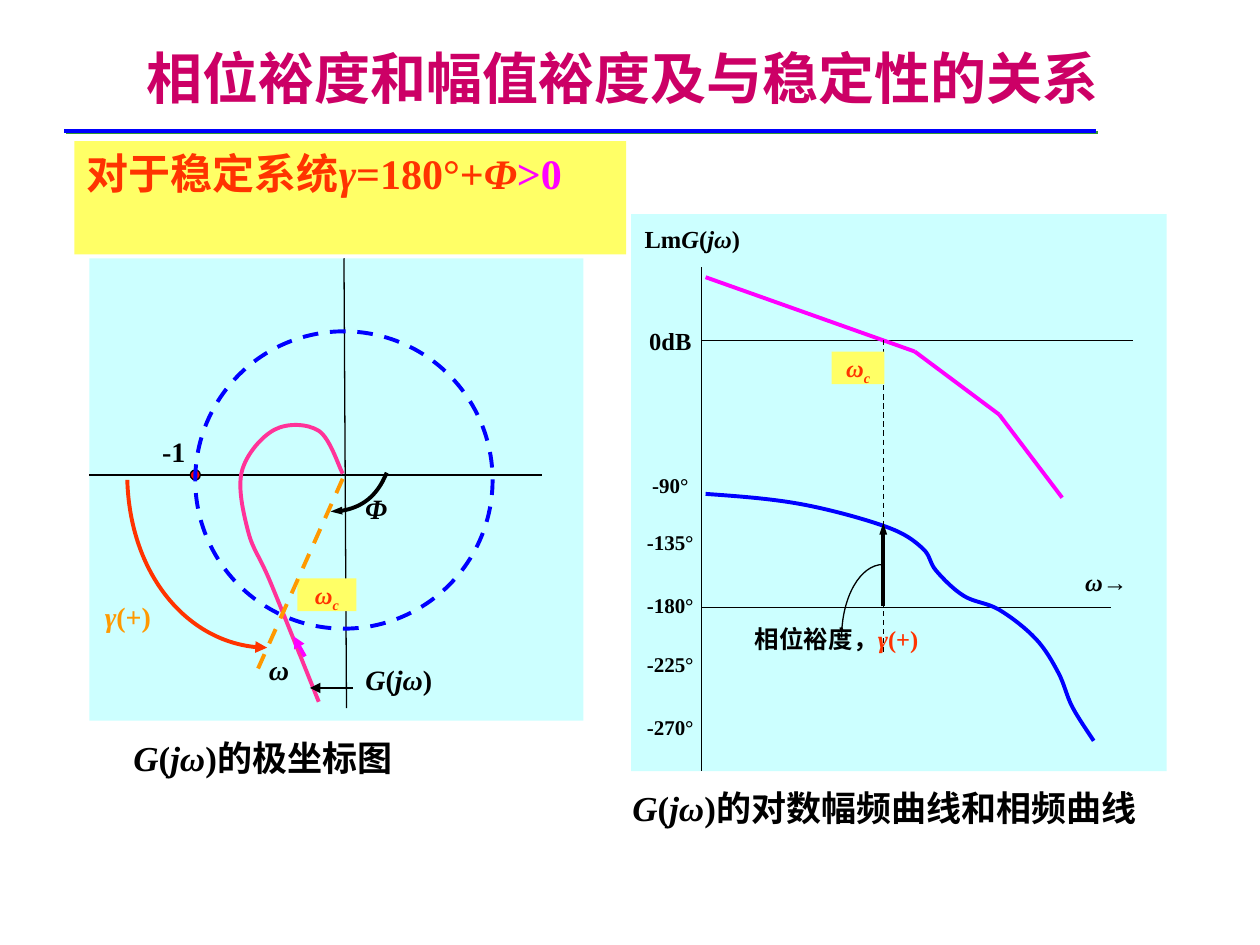
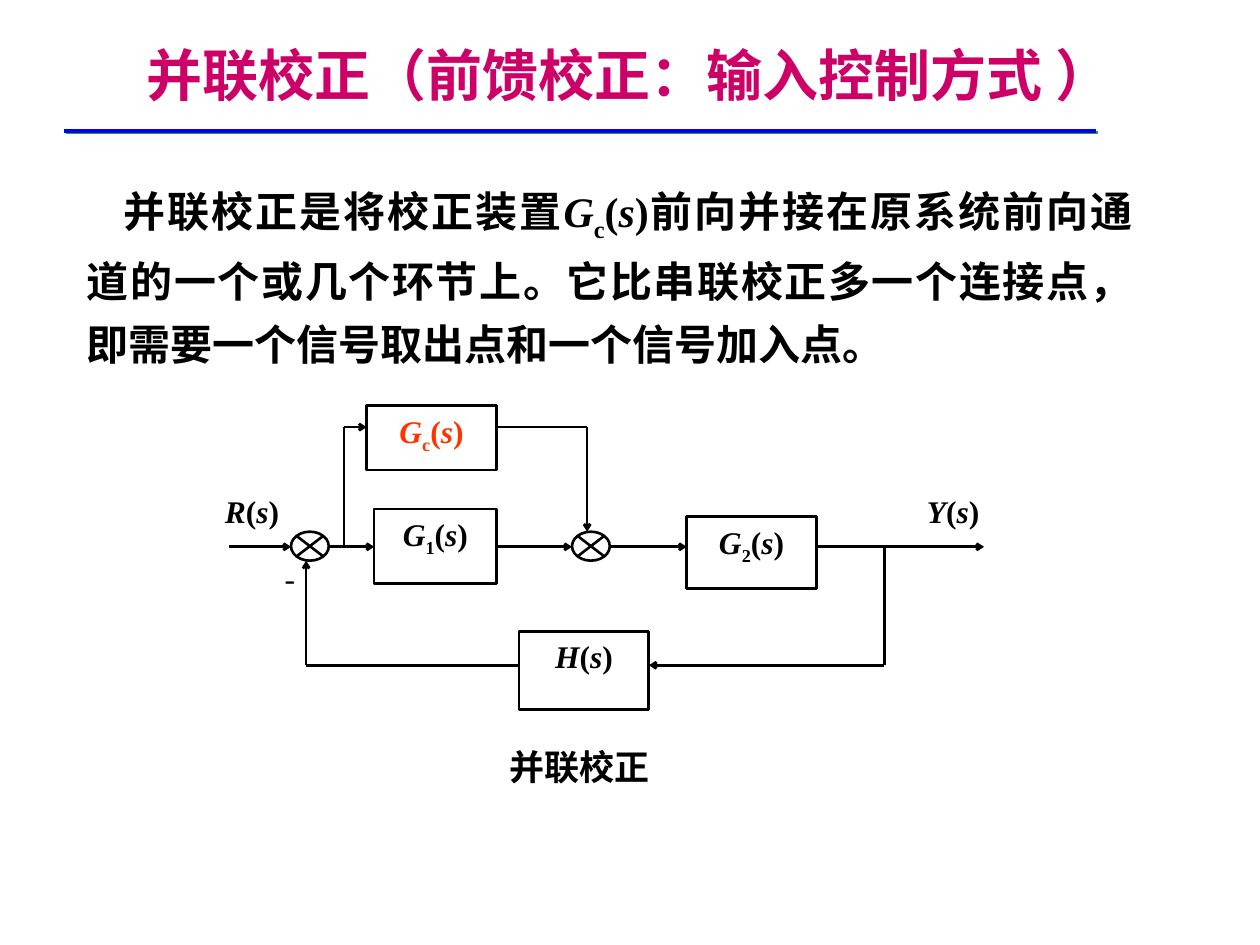
import dataclasses
import itertools
import math
import typing

import lxml.etree
import pptx
import pptx.dml.color
import pptx.enum.dml
import pptx.enum.shapes
import pptx.enum.text
import pptx.oxml.ns
import pptx.util

Inches = pptx.util.Inches
RGBColor = pptx.dml.color.RGBColor
Align = pptx.enum.text.PP_ALIGN
Preset = pptx.enum.shapes.MSO_SHAPE
qn = pptx.oxml.ns.qn
Point = tuple[float, float]
Box = tuple[float, float, float, float]

BLACK = RGBColor(0x00, 0x00, 0x00)
WHITE = RGBColor(0xFF, 0xFF, 0xFF)
BLUE = RGBColor(0x00, 0x00, 0xFF)
RED = RGBColor(0xFF, 0x00, 0x00)
SCARLET = RGBColor(0xFF, 0x33, 0x00)
MAGENTA = RGBColor(0xFF, 0x00, 0xFF)
PINK = RGBColor(0xFF, 0x33, 0x99)
ORANGE = RGBColor(0xFF, 0x99, 0x00)
YELLOW = RGBColor(0xFF, 0xFF, 0x66)
PANEL = RGBColor(0xCC, 0xFF, 0xFF)
TITLE = RGBColor(0xCC, 0x00, 0x66)
RULE_SHADOW = "339933"

LATIN_FONT = "Times New Roman"
CHINESE_FONT = "Noto Sans CJK SC"
THIN, MEDIUM, THICK = 0.75, 1.5, 2.25
WIDE_INSET = (0.1, 0.05)


@dataclasses.dataclass
class Arrowhead:
    kind: str = "triangle"
    width: str = "med"
    length: str = "med"


TRIANGLE = Arrowhead()
NARROW = Arrowhead(width="sm")
SIGNAL = Arrowhead("arrow", "sm", "sm")


@dataclasses.dataclass
class Line:
    start: Point
    end: Point
    colour: RGBColor = BLACK
    width: float = THIN
    dashed: bool = False
    arrow: typing.Optional[Arrowhead] = None


@dataclasses.dataclass
class Label:
    markup: str
    box: Box
    size: float = 16
    colours: tuple[RGBColor, ...] = (BLACK,)
    align: Align = Align.CENTER
    inset: Point = (0, 0.05)
    wrap: bool = True
    bold: bool = True
    fill: typing.Optional[RGBColor] = None


@dataclasses.dataclass
class Curve:
    points: list[Point]
    colour: RGBColor
    width: float = THICK
    arrow: typing.Optional[Arrowhead] = None


def write_text(shape, markup: str, *, size: float, colours=(BLACK,), align=Align.LEFT,
               font=LATIN_FONT, bold=True, wrap=True, inset=WIDE_INSET,
               anchor=pptx.enum.text.MSO_ANCHOR.TOP):
    """In markup, * toggles italic, _ toggles subscript and | moves to the next colour."""
    frame = shape.text_frame
    frame.auto_size = pptx.enum.text.MSO_AUTO_SIZE.NONE
    frame.word_wrap = wrap
    frame.vertical_anchor = anchor
    frame.margin_left = frame.margin_right = Inches(inset[0])
    frame.margin_top = frame.margin_bottom = Inches(inset[1])
    paragraph = frame.paragraphs[0]
    paragraph.alignment = align
    for colour, segment in zip(colours, markup.split("|")):
        for italic_index, piece in enumerate(segment.split("*")):
            for subscript_index, text in enumerate(piece.split("_")):
                if not text:
                    continue
                run = paragraph.add_run()
                run.text = text
                run.font.size = pptx.util.Pt(size)
                run.font.name = font
                run.font.bold = bold
                run.font.italic = italic_index % 2 == 1
                run.font.color.rgb = colour
                properties = run._r.get_or_add_rPr()
                lxml.etree.SubElement(properties, qn("a:ea"), typeface=CHINESE_FONT)
                if subscript_index % 2:
                    properties.set("baseline", "-25000")
    return paragraph


def place(shape, box: Box) -> None:
    shape.left, shape.top, shape.width, shape.height = map(Inches, box)


def style_line(line, colour: RGBColor, width: float, dashed: bool = False) -> None:
    line.color.rgb = colour
    line.width = pptx.util.Pt(width)
    if dashed:
        line.dash_style = pptx.enum.dml.MSO_LINE.DASH


def add_arrowhead(shape, end: str, arrow: typing.Optional[Arrowhead]) -> None:
    if arrow:
        lxml.etree.SubElement(shape.element.spPr.find(qn("a:ln")), qn(f"a:{end}"),
                              type=arrow.kind, w=arrow.width, len=arrow.length)


def add_line(slide, line: Line):
    connector = slide.shapes.add_connector(
        pptx.enum.shapes.MSO_CONNECTOR.STRAIGHT, *map(Inches, line.start + line.end))
    style_line(connector.line, line.colour, line.width, line.dashed)
    add_arrowhead(connector, "tailEnd", line.arrow)
    lxml.etree.SubElement(connector.element.spPr, qn("a:effectLst"))
    return connector


def add_figure(slide, preset: Preset, box: Box, fill=None, outline=None,
               width: float = THIN, dashed: bool = False):
    shape = slide.shapes.add_shape(preset, *map(Inches, box))
    shape.shadow.inherit = False
    if fill is None:
        shape.fill.background()
    else:
        shape.fill.solid()
        shape.fill.fore_color.rgb = fill
    if outline is None:
        shape.line.fill.background()
    else:
        style_line(shape.line, outline, width, dashed)
    return shape


def add_label(slide, label: Label) -> None:
    if label.fill is None:
        shape = slide.shapes.add_textbox(*map(Inches, label.box))
    else:
        shape = add_figure(slide, Preset.RECTANGLE, label.box, label.fill)
    write_text(shape, label.markup, size=label.size, colours=label.colours,
               align=label.align, inset=label.inset, wrap=label.wrap, bold=label.bold)


def add_curve(slide, curve: Curve) -> None:
    points = [(Inches(x), Inches(y)) for x, y in curve.points]
    builder = slide.shapes.build_freeform(*points[0])
    builder.add_line_segments(points[1:], close=False)
    shape = builder.convert_to_shape()
    outline = next(shape.element.iter(qn("a:path")))
    segments = iter(outline.findall(qn("a:lnTo")))
    for triple in zip(segments, segments, segments):
        bezier = lxml.etree.SubElement(outline, qn("a:cubicBezTo"))
        for segment in triple:
            bezier.append(segment[0])
            outline.remove(segment)
    shape.fill.background()
    style_line(shape.line, curve.colour, curve.width)
    shape.shadow.inherit = False
    add_arrowhead(shape, "headEnd", curve.arrow)


def spline(knots: list[Point], lead_in: typing.Optional[Point] = None) -> list[Point]:
    padded = [lead_in or knots[0], *knots, knots[-1]]
    points = [knots[0]]
    for before, start, end, after in zip(padded, padded[1:], padded[2:], padded[3:]):
        points.append(tuple(b + (c - a) / 6 for a, b, c in zip(before, start, end)))
        points.append(tuple(c - (d - b) / 6 for b, c, d in zip(start, end, after)))
        points.append(end)
    return points


def arc(centre: Point, radii: Point, start: float, end: float) -> list[Point]:
    first, last = math.radians(start), math.radians(end)
    reach = 4 / 3 * math.tan((last - first) / 4)
    units = [(math.cos(angle) - pull * math.sin(angle), math.sin(angle) + pull * math.cos(angle))
             for angle, pull in ((first, 0), (first, reach), (last, -reach), (last, 0))]
    return [(centre[0] + radii[0] * x, centre[1] + radii[1] * y) for x, y in units]


def add_titled_slide(presentation, layout_index: int, title: str, box: Box):
    slide = presentation.slides.add_slide(presentation.slide_layouts[layout_index])
    place(slide.shapes.title, box)
    write_text(slide.shapes.title, title, size=32, colours=(TITLE,), font=CHINESE_FONT,
               anchor=pptx.enum.text.MSO_ANCHOR.MIDDLE)
    return slide


def move_rule_to_master(presentation, slide) -> None:
    rule = add_line(slide, Line((0.51, 1.04), (8.7, 1.04), BLUE, 2))
    effects = rule.element.spPr.find(qn("a:effectLst"))
    shadow = lxml.etree.SubElement(effects, qn("a:outerShdw"), dist="17780", dir="2700000")
    lxml.etree.SubElement(shadow, qn("a:srgbClr"), val=RULE_SHADOW)
    rule.element.nvCxnSpPr.cNvPr.set("id", "50")
    presentation.slide_master.shapes.element.append(rule.element)


def add_crossover(slide, box: Box) -> None:
    add_label(slide, Label("*ω_c_*", box, 14, (SCARLET,), inset=(0, 0.01), fill=YELLOW))


def draw_polar_plot(slide) -> None:
    add_figure(slide, Preset.RECTANGLE, (0.71, 2.05, 3.92, 3.67), PANEL)
    add_line(slide, Line((0.71, 3.77), (4.3, 3.77)))
    add_line(slide, Line((2.75, 5.62), (2.73, 2.05)))
    add_figure(slide, Preset.OVAL, (1.51, 3.73, 0.08, 0.08), RED, BLACK)
    add_crossover(slide, (2.36, 4.59, 0.47, 0.26))
    add_curve(slide, Curve(spline([
        (2.53, 5.57), (2.15, 4.63), (1.97, 4.22), (1.92, 3.74),
        (2.18, 3.41), (2.53, 3.42), (2.72, 3.76)]), PINK))
    add_curve(slide, Curve(arc((2.12, 3.76), (1.11, 1.38), 90, 178), SCARLET, arrow=TRIANGLE))
    add_figure(slide, Preset.OVAL, (1.55, 2.63, 2.36, 2.36), outline=BLUE,
               width=THICK, dashed=True)
    add_line(slide, Line((2.42, 5.21), (2.33, 5.05), MAGENTA, THICK, arrow=TRIANGLE))
    add_line(slide, Line((2.8, 5.46), (2.46, 5.46), arrow=TRIANGLE))
    add_line(slide, Line((2.72, 3.8), (2.02, 5.37), ORANGE, THICK, dashed=True))
    add_curve(slide, Curve(arc((2.64, 3.54), (0.47, 0.52), 92, 24), BLACK, arrow=NARROW))
    for label in (
        Label("-1", (1.13, 3.4, 0.5, 0.37)),
        Label("*ω*", (1.96, 5.13, 0.51, 0.37)),
        Label("*G*(*jω*)", (2.87, 5.21, 0.59, 0.37), wrap=False),
        Label("*γ*(+)", (0.74, 4.71, 0.55, 0.37), colours=(ORANGE,)),
        Label("*Φ*", (2.8, 3.85, 0.42, 0.37), align=Align.LEFT, inset=WIDE_INSET),
        Label("*G*(*jω*)的极坐标图", (0.96, 5.8, 2.83, 0.43), 20,
              align=Align.LEFT, inset=WIDE_INSET),
    ):
        add_label(slide, label)


def draw_bode_plot(slide) -> None:
    add_figure(slide, Preset.RECTANGLE, (5.01, 1.7, 4.25, 4.42), PANEL)
    for start, end in (((5.57, 2.7), (8.99, 2.7)), ((5.57, 2.12), (5.57, 6.12)),
                       ((5.57, 4.82), (8.82, 4.82))):
        add_line(slide, Line(start, end))
    for angle, top in zip(range(-90, -271, -45), (3.7, 4.15, 4.65, 5.12, 5.62)):
        add_label(slide, Label(f"{angle}°", (5.07, top, 0.5, 0.3), 12))
    magnitude = [(5.6, 2.2), (7.26, 2.79), (7.93, 3.29), (8.43, 3.95)]
    for start, end in itertools.pairwise(magnitude):
        add_line(slide, Line(start, end, MAGENTA, THICK))
    add_curve(slide, Curve(spline([
        (5.6, 3.92), (6.35, 4), (7.03, 4.18), (7.32, 4.35), (7.43, 4.53), (7.65, 4.73),
        (7.93, 4.84), (8.22, 5.07), (8.4, 5.34), (8.51, 5.61), (8.68, 5.88)],
        lead_in=(4.85, 3.89)), BLUE))
    add_line(slide, Line((7.01, 2.7), (7.01, 5.2), dashed=True))
    add_line(slide, Line((7.01, 4.81), (7.01, 4.15), width=THICK, arrow=NARROW))
    add_curve(slide, Curve(arc((7.01, 5.06), (0.33, 0.58), 270, 180), BLACK, THIN))
    add_crossover(slide, (6.6, 2.79, 0.42, 0.26))
    for label in (
        Label("*ω*→", (8.49, 4.45, 0.58, 0.33), 14),
        Label("Lm*G*(*jω*)", (5.09, 1.73, 0.81, 0.33), 14, wrap=False),
        Label("0dB", (5.07, 2.54, 0.5, 0.33), 14),
        Label("相位裕度，|*γ*(+)", (5.85, 4.9, 1.58, 0.33), 14, (BLACK, SCARLET)),
        Label("*G*(*jω*)的对数幅频曲线和相频曲线", (4.92, 6.19, 4.4, 0.43), 20,
              align=Align.LEFT, inset=WIDE_INSET, fill=WHITE),
    ):
        add_label(slide, label)


def add_block(slide, markup: str, box: Box, colour: RGBColor = BLACK) -> None:
    block = add_figure(slide, Preset.RECTANGLE, box, outline=BLACK, width=MEDIUM)
    write_text(block, markup, size=18, colours=(colour,), align=Align.CENTER, wrap=False)
    left, top, width, height = box
    right, bottom = left + width, top + height
    for y in (top, bottom):
        add_line(slide, Line((left, y), (right, y), width=MEDIUM))
    for x in (left, right):
        add_line(slide, Line((x, top), (x, bottom), width=MEDIUM))


def draw_block_diagram(slide) -> None:
    add_block(slide, "*G*_c_(*s*)", (2.91, 3.22, 1.03, 0.51), SCARLET)
    add_block(slide, "*G*_2_(*s*)", (5.45, 4.1, 1.03, 0.57))
    add_block(slide, "*H*(*s*)", (4.12, 5.01, 1.03, 0.62))
    add_block(slide, "*G*_1_(*s*)", (2.97, 4.04, 0.97, 0.59))
    for left in (2.31, 4.54):
        add_figure(slide, Preset.FLOWCHART_SUMMING_JUNCTION, (left, 4.22, 0.3, 0.23),
                   outline=BLACK, width=MEDIUM)
    main_path = [((start, 4.34), (end, 4.34)) for start, end in (
        (1.82, 2.31), (2.61, 2.97), (3.94, 4.54), (4.84, 5.45), (6.48, 7.81))]
    branches = [
        ((7.02, 4.34), (7.02, 5.28), (5.15, 5.28)),
        ((4.12, 5.28), (2.43, 5.28), (2.43, 4.45)),
        ((2.73, 4.34), (2.73, 3.39), (2.91, 3.39)),
        ((3.94, 3.39), (4.66, 3.39), (4.66, 4.22)),
    ]
    for *corners, target in main_path + branches:
        for start, end in itertools.pairwise(corners):
            add_line(slide, Line(start, end, width=MEDIUM))
        add_line(slide, Line(corners[-1], target, width=MEDIUM, arrow=SIGNAL))
    for label in (
        Label("*R*(*s*)", (1.69, 3.86, 0.62, 0.4), 18, wrap=False),
        Label("*Y*(*s*)", (7.26, 3.86, 0.61, 0.4), 18, wrap=False),
        Label("-", (2.16, 4.39, 0.38, 0.4), 18, align=Align.LEFT, inset=WIDE_INSET, bold=False),
        Label("并联校正", (3.35, 5.87, 2.5, 0.43), 20),
    ):
        add_label(slide, label)


def main() -> None:
    presentation = pptx.Presentation()
    presentation.slide_width, presentation.slide_height = Inches(10), Inches(7.5)

    margins = add_titled_slide(presentation, 5, "相位裕度和幅值裕度及与稳定性的关系",
                               (1.06, 0.18, 7.95, 0.87))
    move_rule_to_master(presentation, margins)
    draw_polar_plot(margins)
    draw_bode_plot(margins)
    add_label(margins, Label("对于稳定系统*γ*=180°+*Φ*|>0", (0.59, 1.12, 4.38, 0.9), 24,
                             (SCARLET, MAGENTA), Align.LEFT, WIDE_INSET, fill=YELLOW))

    correction = add_titled_slide(presentation, 1, "并联校正（前馈校正：输入控制方式 ）",
                                  (1.06, 0.15, 8.05, 0.87))
    body = correction.placeholders[1]
    place(body, (0.59, 1.31, 8.5, 1.42))
    paragraph = write_text(
        body, "并联校正是将校正装置*G*_c_(*s*)前向并接在原系统前向通道的一个或几个环节上。"
        "它比串联校正多一个连接点，即需要一个信号取出点和一个信号加入点。",
        size=24, align=Align.JUSTIFY)
    paragraph.line_spacing = 1.25
    properties = paragraph._p.get_or_add_pPr()
    properties.set("marL", "0")
    properties.set("indent", str(Inches(0.29)))
    lxml.etree.SubElement(properties, qn("a:buNone"))
    draw_block_diagram(correction)

    presentation.save("out.pptx")


if __name__ == "__main__":
    main()
